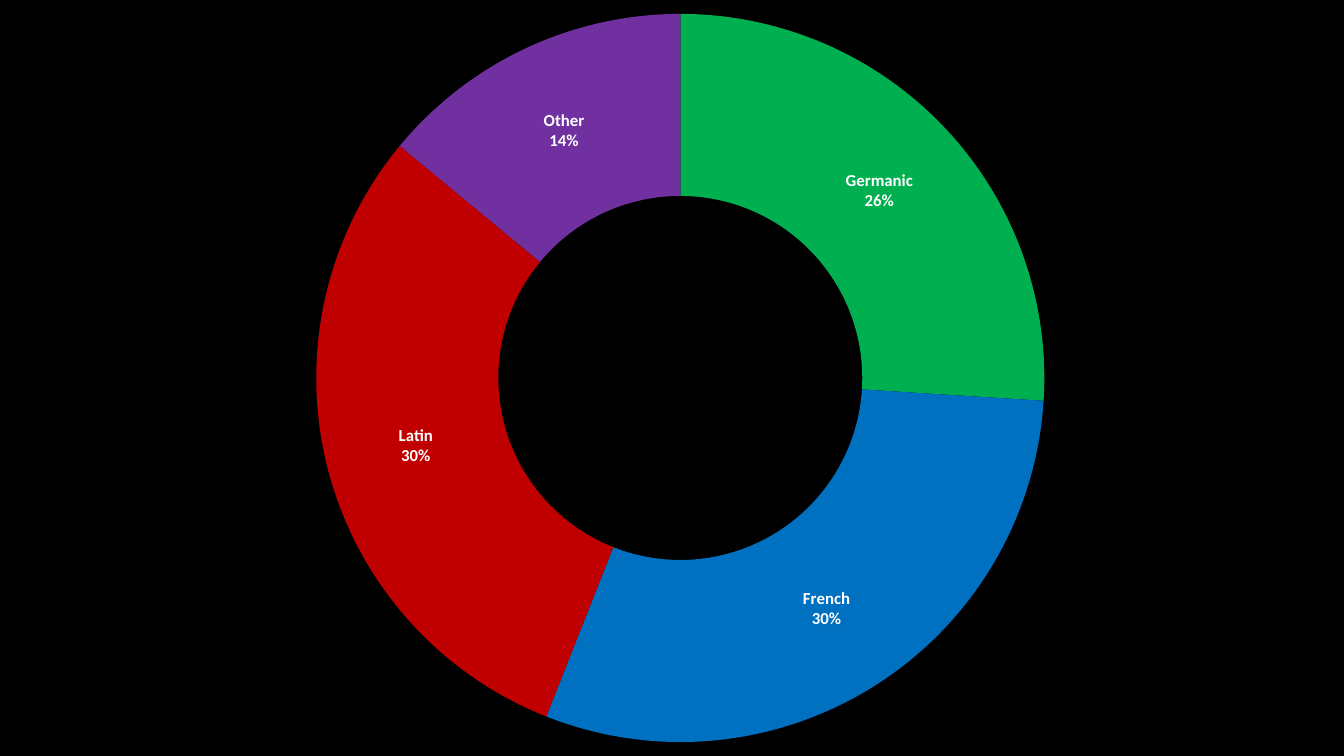
from lxml.etree import SubElement
from pptx import Presentation
from pptx.chart.data import CategoryChartData
from pptx.dml.color import RGBColor
from pptx.enum.chart import XL_CHART_TYPE
from pptx.oxml.ns import qn
from pptx.util import Cm, Pt

PARTS = [
    ("Germanic", 26, "00B050"),
    ("French", 30, "0070C0"),
    ("Latin", 30, "C00000"),
    ("Other", 14, "7030A0"),
]


def paint(fill, tone):
    """Give a fill one solid colour."""
    fill.solid()
    fill.fore_color.rgb = RGBColor.from_string(tone)


def style(font, size, bold=False):
    """Set white Calibri at the given size."""
    font.name = "Calibri"
    font.size = Pt(size)
    font.bold = bold
    paint(font.fill, "FFFFFF")


def label(series):
    """Show name and share on two lines in each part of the ring."""
    labels = series.data_labels
    labels.show_category_name = True
    labels.show_percentage = True
    labels.show_value = False
    style(labels.font, 12, True)
    node = series._element.find(qn("c:dLbls"))
    gap = SubElement(node, qn("c:separator"))
    gap.text = "\n"
    node.find(qn("c:showBubbleSize")).addnext(gap)


def ring(slide, left, top, width, height):
    """Draw the doughnut chart in the given box."""
    data = CategoryChartData()
    data.categories = [name for name, share, tone in PARTS]
    data.add_series("Series 1", [share for name, share, tone in PARTS])
    chart = slide.shapes.add_chart(
        XL_CHART_TYPE.DOUGHNUT, left, top, width, height, data
    ).chart
    chart.has_legend = False
    chart.has_title = False
    style(chart.font, 10)
    plot = chart.plots[0]
    plot.vary_by_categories = True
    plot._element.find(qn("c:holeSize")).set("val", "62")
    series = plot.series[0]
    for spot, (name, share, tone) in enumerate(PARTS):
        form = series.points[spot].format
        paint(form.fill, tone)
        form.line.fill.background()
    label(series)


def main():
    """Build and save the slide."""
    deck = Presentation()
    deck.slide_width = Cm(33.87)
    deck.slide_height = Cm(19.05)
    slide = deck.slides.add_slide(deck.slide_layouts[6])
    paint(slide.background.fill, "000000")
    ring(slide, Cm(3.71), Cm(0), Cm(26.87), deck.slide_height)
    deck.save("out.pptx")


if __name__ == "__main__":
    main()
